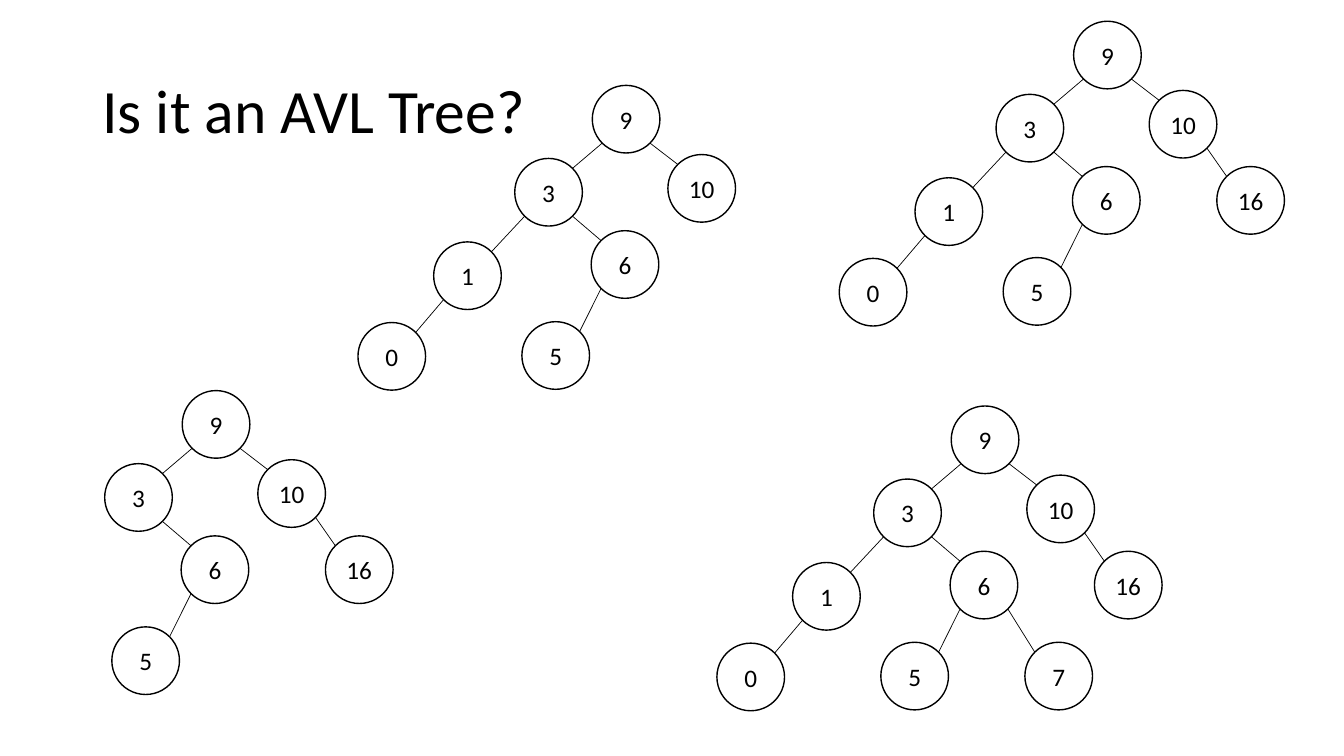
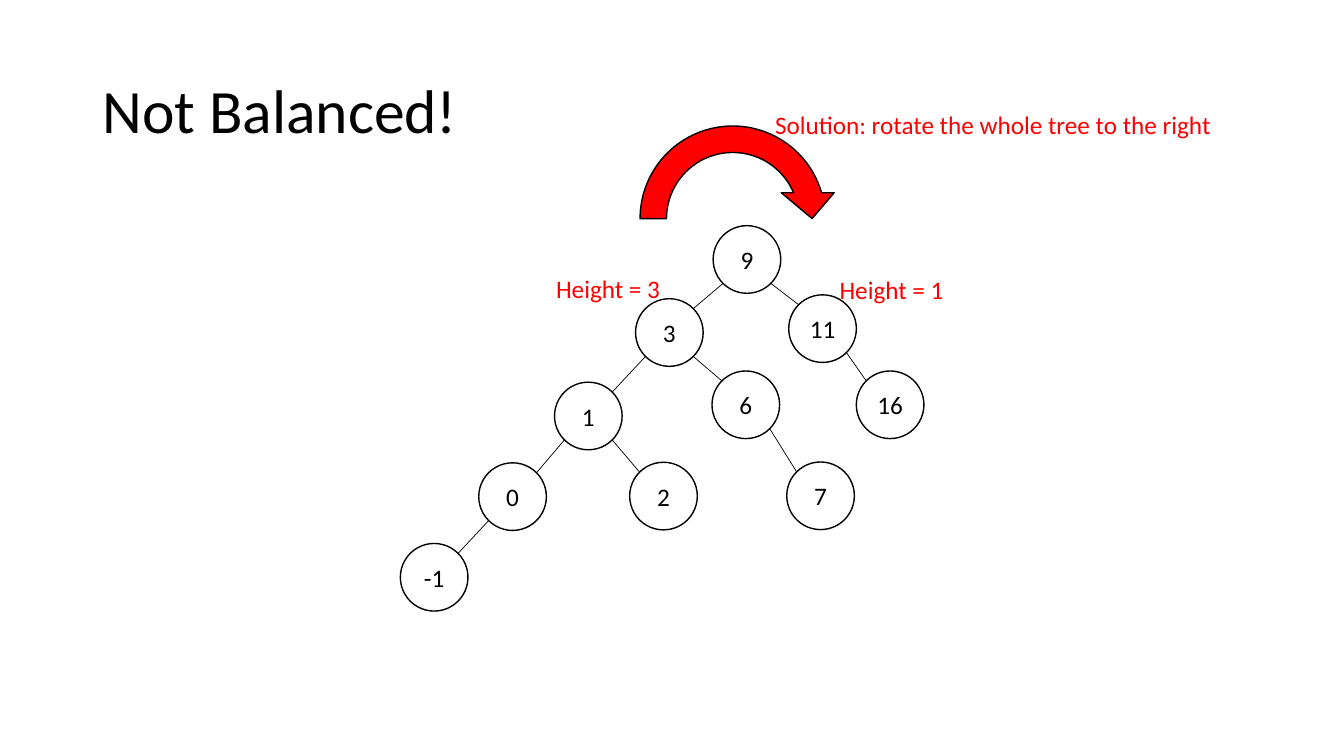
"""Build two slides about balanced binary search trees."""
from dataclasses import dataclass
from math import sqrt

from lxml.etree import SubElement
from pptx import Presentation
from pptx.dml.color import RGBColor
from pptx.enum.shapes import MSO_CONNECTOR, MSO_SHAPE
from pptx.enum.text import MSO_ANCHOR, MSO_AUTO_SIZE, PP_ALIGN
from pptx.oxml.ns import qn
from pptx.presentation import Presentation as Deck
from pptx.shapes.autoshape import Shape
from pptx.shapes.shapetree import GroupShapes
from pptx.slide import Slide
from pptx.text.text import TextFrame
from pptx.util import Pt

COLOURS = {"ink": "000000", "paper": "FFFFFF", "accent": "FF0000"}
FONT = "Calibri"
TITLE_SIZE = 44
TEXT_SIZE = 18
NODE_SIZE = 48.3
CORNER_INSET = NODE_SIZE * (1 - sqrt(0.5)) / 2
NODE_OFFSETS = {
    "": (0, 0),
    "L": (-55.4, 52.2),
    "R": (54, 49.4),
    "LL": (-113.3, 111.8),
    "LR": (-0.8, 103.8),
    "RR": (102.3, 103.8),
    "LLL": (-167.4, 169.4),
    "LLR": (-59.6, 169),
    "LRL": (-50.3, 168.8),
    "LRR": (52.6, 168.8),
    "LLLL": (-223.4, 227),
}


@dataclass(frozen=True)
class Tree:
    """A tree whose keys spell the left and right turns from the root."""

    left: float
    top: float
    values: dict[str, str]


@dataclass(frozen=True)
class Label:
    """A one-line note."""

    text: str
    left: float
    top: float
    width: float


BASE = {"": "9", "L": "3", "R": "10", "LR": "6"}
LEFT_CHAIN = {"LL": "1", "LLL": "0"}
QUIZ_TREES = [
    Tree(679.5, 290, BASE | LEFT_CHAIN | {"RR": "16", "LRL": "5", "LRR": "7"}),
    Tree(766.9, 15.2, BASE | LEFT_CHAIN | {"RR": "16", "LRL": "5"}),
    Tree(423.1, 61, BASE | LEFT_CHAIN | {"LRL": "5"}),
    Tree(130.2, 279, BASE | {"RR": "16", "LRL": "5"}),
]
UNBALANCED_TREE = Tree(
    509.4, 161.2,
    BASE | LEFT_CHAIN | {"R": "11", "RR": "16", "LLR": "2", "LRR": "7", "LLLL": "-1"},
)
LABELS = [
    Label("Height = 3", 390.1, 191.8, 90),
    Label("Height = 1", 592.6, 192.4, 90),
    Label("Solution: rotate the whole tree to the right", 546.5, 74.2, 329.8),
]


def colour(name: str) -> RGBColor:
    """Return a named colour."""
    return RGBColor.from_string(COLOURS[name])


def write(frame: TextFrame, text: str, size: float, colour_name: str) -> None:
    """Set one paragraph of text and format its runs."""
    frame.text = text
    for span in frame.paragraphs[0].runs:
        span.font.name = FONT
        span.font.size = Pt(size)
        span.font.color.rgb = colour(colour_name)


def paint(shape: Shape, fill_name: str) -> None:
    """Give a shape a solid fill and a thin dark outline."""
    shape.shadow.inherit = False
    shape.fill.solid()
    shape.fill.fore_color.rgb = colour(fill_name)
    shape.line.color.rgb = colour("ink")
    shape.line.width = Pt(1)


def add_titled_slide(deck: Deck, text: str) -> Slide:
    """Add a slide with the shared title style."""
    page = deck.slides.add_slide(deck.slide_layouts[5])
    title = page.shapes.title
    title.left, title.top, title.width, title.height = Pt(66), Pt(28.75), Pt(828), Pt(104.4)
    frame = title.text_frame
    frame.auto_size = MSO_AUTO_SIZE.NONE
    frame.vertical_anchor = MSO_ANCHOR.MIDDLE
    write(frame, text, TITLE_SIZE, "ink")
    frame.paragraphs[0].alignment = PP_ALIGN.LEFT
    frame.paragraphs[0].line_spacing = 0.9
    return page


def corner(tree: Tree, node: str, right: bool, bottom: bool) -> tuple[Pt, Pt]:
    """Return the diagonal point on the edge of a node."""
    across, down = NODE_OFFSETS[node]
    far = NODE_SIZE - CORNER_INSET
    return (
        Pt(tree.left + across + (far if right else CORNER_INSET)),
        Pt(tree.top + down + (far if bottom else CORNER_INSET)),
    )


def add_edge(shapes: GroupShapes, tree: Tree, node: str) -> None:
    """Join a node to its parent."""
    goes_right = node.endswith("R")
    start = corner(tree, node[:-1], goes_right, True)
    end = corner(tree, node, not goes_right, False)
    edge = shapes.add_connector(MSO_CONNECTOR.STRAIGHT, *start, *end)
    edge.line.color.rgb = colour("ink")
    edge.line.width = Pt(0.5)
    SubElement(edge._element.spPr, qn("a:effectLst"))


def add_node(shapes: GroupShapes, tree: Tree, node: str) -> None:
    """Draw a node with its value."""
    across, down = NODE_OFFSETS[node]
    circle = shapes.add_shape(
        MSO_SHAPE.OVAL, Pt(tree.left + across), Pt(tree.top + down), Pt(NODE_SIZE), Pt(NODE_SIZE)
    )
    paint(circle, "paper")
    frame = circle.text_frame
    frame.word_wrap = False
    frame.vertical_anchor = MSO_ANCHOR.MIDDLE
    write(frame, tree.values[node], TEXT_SIZE, "ink")
    frame.paragraphs[0].alignment = PP_ALIGN.CENTER


def add_tree(page: Slide, tree: Tree) -> None:
    """Draw a tree as one group."""
    shapes = page.shapes.add_group_shape().shapes
    for node in tree.values:
        add_node(shapes, tree, node)
        if node:
            add_edge(shapes, tree, node)


def add_label(page: Slide, label: Label) -> None:
    """Add an accent-coloured note."""
    box = page.shapes.add_textbox(Pt(label.left), Pt(label.top), Pt(label.width), Pt(29))
    frame = box.text_frame
    frame.word_wrap = False
    frame.auto_size = MSO_AUTO_SIZE.SHAPE_TO_FIT_TEXT
    write(frame, label.text, TEXT_SIZE, "accent")


def main() -> None:
    """Build and save the deck."""
    deck = Presentation()
    deck.slide_width, deck.slide_height = Pt(960), Pt(540)

    quiz = add_titled_slide(deck, "Is it an AVL Tree?")
    for tree in QUIZ_TREES:
        add_tree(quiz, tree)

    unbalanced = add_titled_slide(deck, "Not Balanced!")
    arrow = unbalanced.shapes.add_shape(
        MSO_SHAPE.CIRCULAR_ARROW, Pt(447.8), Pt(80.6), Pt(151.2), Pt(151.2)
    )
    paint(arrow, "accent")
    for label in LABELS:
        add_label(unbalanced, label)
    add_tree(unbalanced, UNBALANCED_TREE)

    deck.save("out.pptx")


if __name__ == "__main__":
    main()
